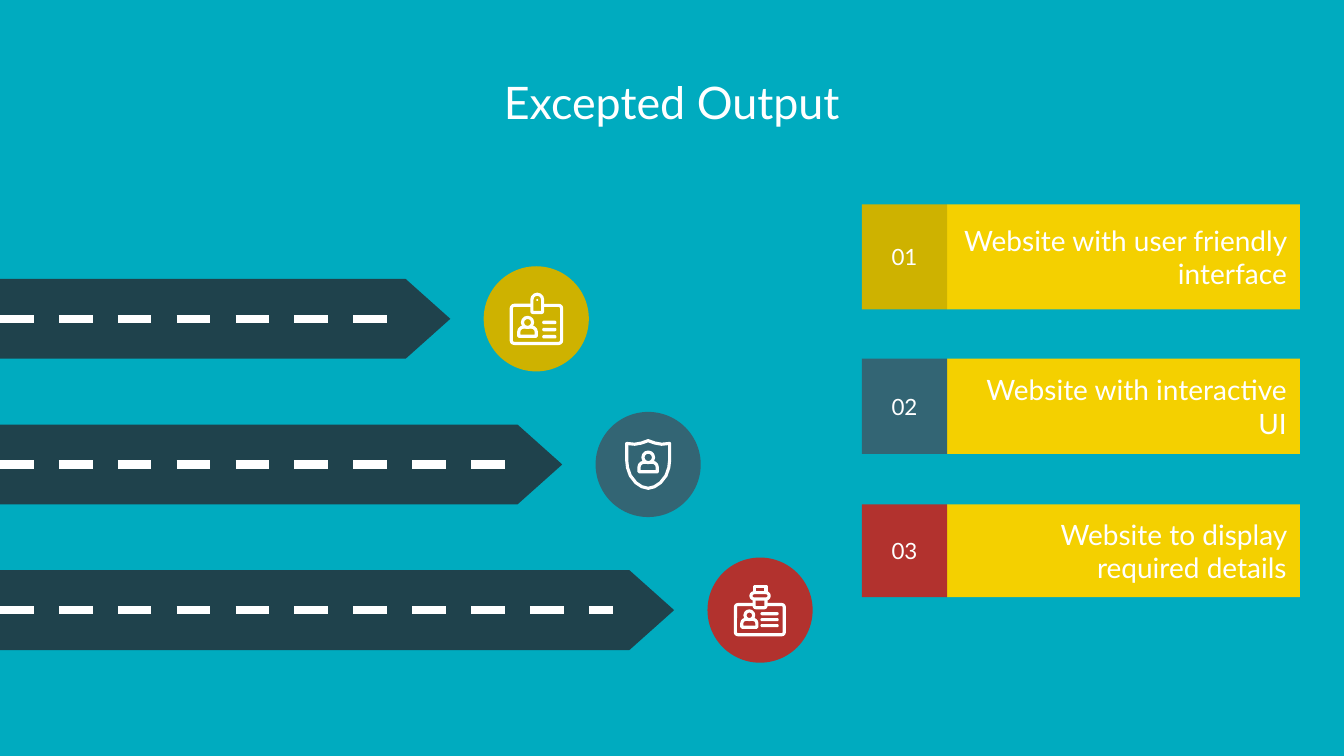
from lxml import etree
from pptx import Presentation
from pptx.dml.color import RGBColor
from pptx.enum.dml import MSO_LINE
from pptx.enum.shapes import MSO_CONNECTOR, MSO_SHAPE
from pptx.enum.text import MSO_ANCHOR, PP_ALIGN
from pptx.oxml.ns import qn
from pptx.util import Cm, Pt

ARROW, CIRCLE, RECTANGLE = MSO_SHAPE.RIGHT_ARROW, MSO_SHAPE.OVAL, MSO_SHAPE.RECTANGLE
ROUNDED, ARCH = MSO_SHAPE.ROUNDED_RECTANGLE, MSO_SHAPE.ROUND_2_SAME_RECTANGLE
STRAIGHT, DASH, MIDDLE = MSO_CONNECTOR.STRAIGHT, MSO_LINE.DASH, MSO_ANCHOR.MIDDLE
CENTER, RIGHT = PP_ALIGN.CENTER, PP_ALIGN.RIGHT

FONT = "Lato"
COLORS = {
    "background": "00ABBF", "road": "1F424C", "panel": "F4D000", "white": "FFFFFF",
    "gold": "CEB200", "slate": "336574", "red": "B2322E",
}
ROAD_HEIGHT, CIRCLE_SIZE, STROKE = 2.01, 2.65, 2.25


def rgb(name):
    return RGBColor.from_string(COLORS[name])


def style_shape(shape, fill, outline=None):
    shape.shadow.inherit = False
    shape.fill.solid()
    shape.fill.fore_color.rgb = rgb(fill)
    if outline:
        shape.line.color.rgb = rgb(outline)
        shape.line.width = Pt(STROKE)
    else:
        shape.line.fill.background()


def add_box(slide, kind, box, fill, outline=None, adjustments=()):
    shape = slide.shapes.add_shape(kind, *[Cm(length) for length in box])
    for index, value in enumerate(adjustments):
        shape.adjustments[index] = value
    style_shape(shape, fill, outline)
    return shape


def format_text(shape, size, alignment):
    frame = shape.text_frame
    frame.word_wrap = True
    frame.vertical_anchor = MIDDLE
    frame.margin_left = frame.margin_right = Cm(0.33)
    frame.margin_top = frame.margin_bottom = Cm(0.33)
    for paragraph in frame.paragraphs:
        paragraph.alignment = alignment
        for run in paragraph.runs:
            run.font.name = FONT
            run.font.size = Pt(size)
            run.font.color.rgb = rgb("white")


def add_title(slide, box, text):
    title = slide.shapes.title
    title.left, title.top, title.width, title.height = [Cm(length) for length in box]
    title.text_frame.text = text
    format_text(title, 32, CENTER)


# Road: an arrow with a dashed centre line
def add_road(slide, box, dash_end):
    left, top, _, height = box
    add_box(slide, ARROW, box, "road", adjustments=(1, 0.56))
    middle = Cm(top + height / 2)
    line = slide.shapes.add_connector(STRAIGHT, Cm(left), middle, Cm(dash_end), middle)
    line.line.color.rgb = rgb("white")
    line.line.width = Pt(6)
    line.line.dash_style = DASH
    etree.SubElement(line.element.spPr, qn("a:effectLst"))


# Icon parts: x and y are the point they are centred on
def add_person(slide, x, y, width, color):
    body_top, head = y + 0.27 * width, 0.58 * width
    add_box(slide, ARCH, (x - width / 2, body_top, width, 0.52 * width),
            color, "white", (0.5, 0))
    add_box(slide, CIRCLE, (x - head / 2, y - head / 2, head, head), color, "white")


def add_text_lines(slide, x, y, width, thickness, pitch):
    for row in (-1, 0, 1):
        add_box(slide, ROUNDED,
                (x - width / 2, y + row * pitch - thickness / 2, width, thickness),
                "white", adjustments=(0.5,))


def draw_clip_badge(slide, x, y, color):
    add_box(slide, ROUNDED, (x - 0.63, y - 0.34, 1.27, 0.96), color, "white", (0.08,))
    add_box(slide, ARCH, (x - 0.11, y - 0.62, 0.27, 0.46), color, "white", (0.5, 0.1))
    add_box(slide, CIRCLE, (x, y - 0.5, 0.05, 0.05), "white")
    add_person(slide, x - 0.22, y + 0.09, 0.44, color)
    add_text_lines(slide, x + 0.33, y + 0.27, 0.36, 0.09, 0.18)


def draw_shield(slide, x, y, color):
    right_half = [(0, -0.6), (0.17, -0.54), (0.34, -0.51), (0.54, -0.53), (0.54, -0.1),
                  (0.52, 0.08), (0.45, 0.28), (0.31, 0.46), (0.16, 0.56), (0, 0.6)]
    left_half = [(-dx, dy) for dx, dy in right_half[-2:0:-1]]
    points = [(Cm(x + dx), Cm(y + dy)) for dx, dy in right_half + left_half]
    builder = slide.shapes.build_freeform(*points[0])
    builder.add_line_segments(points[1:], close=True)
    style_shape(builder.convert_to_shape(), color, "white")
    add_person(slide, x, y - 0.18, 0.46, color)


def draw_strap_badge(slide, x, y, color):
    add_box(slide, ROUNDED, (x - 0.62, y - 0.14, 1.23, 0.76), color, "white", (0.08,))
    add_box(slide, RECTANGLE, (x - 0.15, y - 0.6, 0.3, 0.2), color, "white")
    add_box(slide, ROUNDED, (x - 0.15, y - 0.3, 0.3, 0.24), color, "white", (0.2,))
    add_box(slide, ROUNDED, (x - 0.23, y - 0.44, 0.46, 0.16), color, "white", (0.5,))
    add_person(slide, x - 0.27, y + 0.13, 0.38, color)
    add_text_lines(slide, x + 0.24, y + 0.24, 0.46, 0.08, 0.15)


# Milestone: a road ending at a circle with an icon
def add_milestone(slide, box, dash_end, color, draw_icon):
    left, top, width, height = box
    add_road(slide, box, dash_end)
    x = left + width + 0.84 + CIRCLE_SIZE / 2
    y = top + height / 2
    add_box(slide, CIRCLE,
            (x - CIRCLE_SIZE / 2, y - CIRCLE_SIZE / 2, CIRCLE_SIZE, CIRCLE_SIZE), color)
    draw_icon(slide, x, y, color)


# Panel: a number cell with its text beside it
def add_panel(slide, box, number, text, color):
    left, top, width, height = box
    number_width = 2.15
    panel = add_box(slide, RECTANGLE,
                    (left + number_width, top, width - number_width, height), "panel")
    panel.text_frame.text = text
    format_text(panel, 20, RIGHT)
    cell = add_box(slide, RECTANGLE, (left, top, number_width, height), color)
    cell.text_frame.text = number
    format_text(cell, 16, CENTER)


def main():
    presentation = Presentation()
    presentation.slide_width, presentation.slide_height = Cm(33.87), Cm(19.05)
    slide = presentation.slides.add_slide(presentation.slide_layouts[5])
    slide.background.fill.solid()
    slide.background.fill.fore_color.rgb = rgb("background")
    add_title(slide, (2.64, 1.5, 28.58, 2.13), "Excepted Output")

    milestones = [
        (9.8, "gold", draw_clip_badge),
        (12.9, "slate", draw_shield),
        (15.44, "red", draw_strap_badge),
    ]
    for index, (dash_end, color, draw_icon) in enumerate(milestones):
        box = (0, 7.03 + 3.67 * index, 11.35 + 2.82 * index, ROAD_HEIGHT)
        add_milestone(slide, box, dash_end, color, draw_icon)

    panels = [
        (5.15, 2.65, "Website with user friendly interface", "gold"),
        (9.04, 2.4, "Website with interactive UI", "slate"),
        (12.71, 2.34, "Website to display required details", "red"),
    ]
    for number, (top, height, text, color) in enumerate(panels, start=1):
        add_panel(slide, (21.72, top, 11.04, height), f"{number:02}", text, color)

    presentation.save("out.pptx")


if __name__ == "__main__":
    main()
